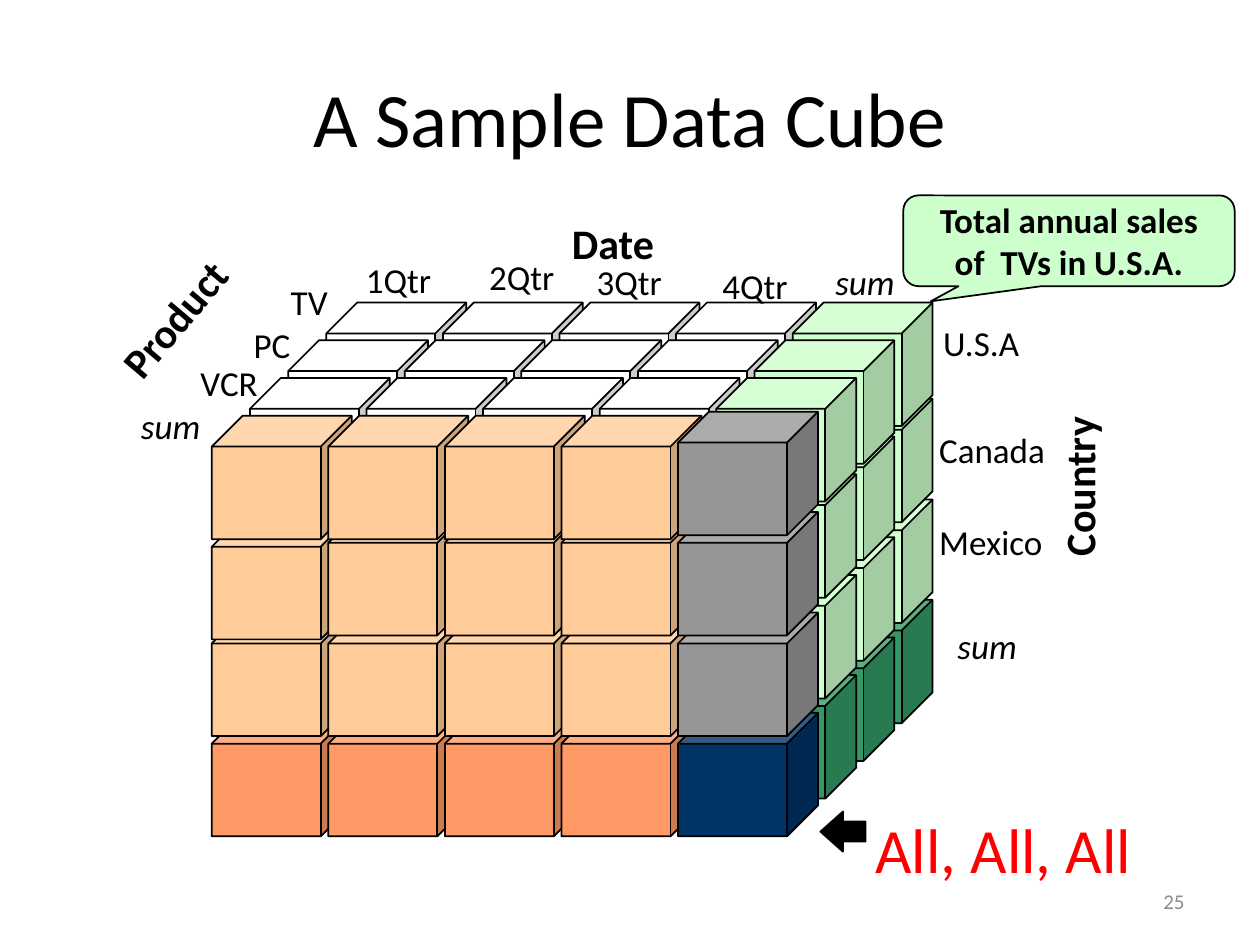
import pptx
import pptx.dml.color
import pptx.enum.shapes
import pptx.enum.text
import pptx.util

Cm = pptx.util.Cm
SHAPE = pptx.enum.shapes.MSO_SHAPE
ALIGN = pptx.enum.text.PP_ALIGN
ANCHOR = pptx.enum.text.MSO_ANCHOR

COLORS = {
    "black": "000000", "red": "FF0000", "page": "8C8C8C",
    "detail": "FFFFFF", "year": "CCFFCC", "year_all": "339966",
    "products": "FFCC99", "products_all": "FF9966",
    "country": "969696", "all": "003366",
}

TITLE = "A Sample Data Cube"
CALLOUT = "Total annual sales\nof  TVs in U.S.A."

# text, left, top, width, rotation
AXES = [
    ("Date", 11.28, 4.27, 2.29, 0),
    ("Product", 1.85, 5.72, 3.43, 310.3),
    ("Country", 19.94, 9.02, 3.61, 270),
]
# text, left, top, width
MEMBERS = [
    ("TV", 5.56, 5.54, 1.35),
    ("PC", 4.8, 6.4, 1.37),
    ("VCR", 3.73, 7.16, 1.78),
    ("sum", 2.59, 8.03, 1.7),
    ("1Qtr", 7.11, 5.08, 1.85),
    ("2Qtr", 9.58, 5.03, 1.88),
    ("3Qtr", 11.76, 5.13, 1.85),
    ("4Qtr", 14.27, 5.21, 1.9),
    ("sum", 16.59, 5.13, 1.7),
    ("U.S.A", 18.69, 6.35, 2.18),
    ("Canada", 18.64, 8.51, 2.72),
    ("Mexico", 18.64, 10.36, 2.67),
    ("sum", 19.05, 12.47, 1.7),
]

# The cube grid: quarters run right, products run forward, countries run down
CELL_WIDTH, CELL_HEIGHT = 2.82, 2.49
GRID_LEFT, GRID_TOP = 6.58, 6.1
QUARTER_STEP = 2.35
PRODUCT_LEFT, PRODUCT_DOWN = 0.77, 0.76
COUNTRY_OFFSETS = (0, 1.94, 3.97, 5.99)
SUM_QUARTER, SUM_PRODUCT, SUM_COUNTRY = 4, 3, 3
# (quarter, product, country): extra distance down
NUDGES = {(0, 3, 1): 0.08, (4, 3, 0): -0.08}


def rgb(name):
    return pptx.dml.color.RGBColor.from_string(COLORS[name])


def write(frame, text, size, color="black", bold=False, italic=False, align=ALIGN.CENTER):
    frame.text = text
    for paragraph in frame.paragraphs:
        paragraph.alignment = align
        for run in paragraph.runs:
            run.font.name = "Calibri"
            run.font.size = pptx.util.Pt(size)
            run.font.bold = bold
            run.font.italic = italic
            run.font.color.rgb = rgb(color)


def add_label(slide, text, left, top, width, height, size, rotation=0, **style):
    label = slide.shapes.add_textbox(Cm(left), Cm(top), Cm(width), Cm(height))
    label.rotation = rotation
    label.text_frame.word_wrap = False
    write(label.text_frame, text, size, **style)
    return label


def add_solid(slide, preset, left, top, width, height, color, adjustments):
    solid = slide.shapes.add_shape(preset, Cm(left), Cm(top), Cm(width), Cm(height))
    solid.shadow.inherit = False
    solid.fill.solid()
    solid.fill.fore_color.rgb = rgb(color)
    solid.line.color.rgb = rgb("black")
    solid.line.width = pptx.util.Pt(1)
    for index, value in enumerate(adjustments):
        solid.adjustments[index] = value
    return solid


def cell_color(quarter, product, country):
    """Colour by which of the three dimensions are summed."""
    summed_country = country == SUM_COUNTRY
    if product == SUM_PRODUCT and quarter == SUM_QUARTER:
        return "all" if summed_country else "country"
    if product == SUM_PRODUCT:
        return "products_all" if summed_country else "products"
    if quarter == SUM_QUARTER:
        return "year_all" if summed_country else "year"
    return "detail"


def visible_cells():
    """Cells as (quarter, product, country), from back to front."""
    quarters, inner_products = range(5), range(3)
    lower_countries = (3, 2, 1)
    right = [(SUM_QUARTER, p, c) for p in inner_products for c in lower_countries]
    top = [(q, p, 0) for q in quarters for p in inner_products]
    front = [(q, SUM_PRODUCT, c) for q in quarters for c in lower_countries]
    front_top = [(q, SUM_PRODUCT, 0) for q in quarters]
    return right + top + front + front_top


def add_cell(slide, cell):
    quarter, product, country = cell
    left = GRID_LEFT + quarter * QUARTER_STEP - product * PRODUCT_LEFT
    top = (GRID_TOP + product * PRODUCT_DOWN + COUNTRY_OFFSETS[country]
           + NUDGES.get(cell, 0))
    add_solid(slide, SHAPE.CUBE, left, top, CELL_WIDTH, CELL_HEIGHT,
              cell_color(*cell), [0.25])


def main():
    deck = pptx.Presentation()
    deck.slide_width, deck.slide_height = Cm(25.4), Cm(19.05)
    slide = deck.slides.add_slide(deck.slide_layouts.get_by_name("Title Only"))

    title = slide.shapes.title
    title.left, title.top = Cm(1.27), Cm(0.76)
    title.width, title.height = Cm(22.86), Cm(3.18)
    title.text_frame.vertical_anchor = ANCHOR.MIDDLE
    write(title.text_frame, TITLE, 44)

    page = add_label(slide, "25", 18.21, 17.65, 5.92, 1.02, 12,
                     color="page", align=ALIGN.RIGHT)
    page.text_frame.word_wrap = True
    page.text_frame.vertical_anchor = ANCHOR.MIDDLE

    callout = add_solid(slide, SHAPE.ROUNDED_RECTANGULAR_CALLOUT, 18.21, 3.94,
                        6.68, 1.83, "year", [-0.417, 0.667, 0.167])
    callout.text_frame.word_wrap = False
    callout.text_frame.vertical_anchor = ANCHOR.MIDDLE
    write(callout.text_frame, CALLOUT, 20, bold=True)

    for text, left, top, width, rotation in AXES:
        add_label(slide, text, left, top, width, 1.27, 24, rotation,
                  bold=True, align=ALIGN.LEFT)

    add_label(slide, "All, All, All", 17.23, 16.21, 6, 1.27, 36, color="red")
    add_solid(slide, SHAPE.LEFT_ARROW, 16.54, 16.36, 0.91, 0.81, "black", [0.5, 0.56])

    for cell in visible_cells():
        add_cell(slide, cell)

    for text, left, top, width in MEMBERS:
        add_label(slide, text, left, top, width, 1.1, 20, italic=text == "sum")

    deck.save("out.pptx")


if __name__ == "__main__":
    main()
